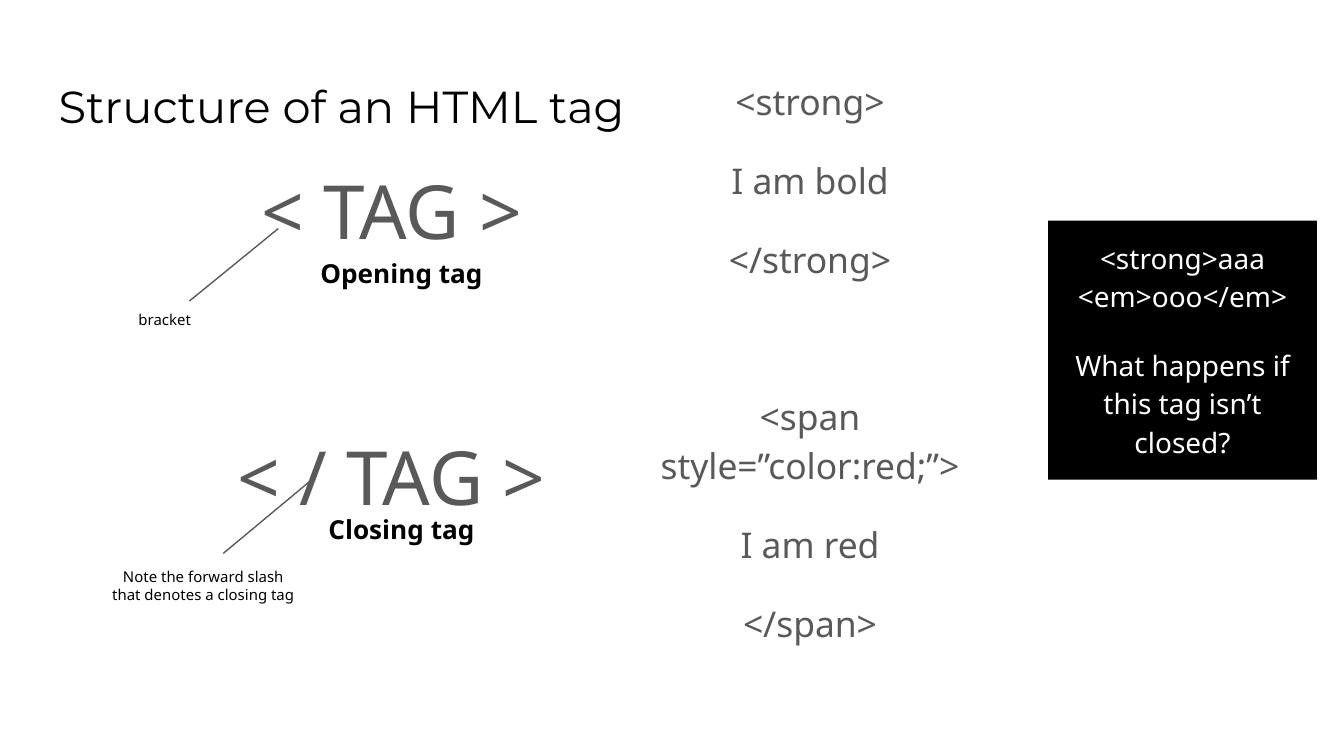
from dataclasses import dataclass

import pptx
import pptx.dml.color
import pptx.enum.shapes
import pptx.enum.text
import pptx.oxml
import pptx.oxml.ns
import pptx.util
from pptx.util import Cm

BLACK = pptx.dml.color.RGBColor(0x00, 0x00, 0x00)
WHITE = pptx.dml.color.RGBColor(0xFF, 0xFF, 0xFF)
GREY = pptx.dml.color.RGBColor(0x59, 0x59, 0x59)
BODY_FONT = "Noto Sans"
PARAGRAPH_GAP = 16
LABEL_LEADING = 1.2
BODY_LEADING = 1.38


@dataclass
class TextBlock:
    """Centred text; each group of paragraphs is set one line apart from the next."""
    left: float
    top: float
    width: float
    height: float
    groups: list[list[str]]
    size: int
    color: pptx.dml.color.RGBColor
    leading: float = LABEL_LEADING
    gap: int = 0
    bold: bool = False
    fill: pptx.dml.color.RGBColor | None = None


@dataclass
class Pointer:
    start: tuple[float, float]
    end: tuple[float, float]


BLOCKS = [
    TextBlock(-0.08, 2.49, 14.96, 8.84, [["< TAG >"], ["< / TAG >"]],
              40, GREY, BODY_LEADING, PARAGRAPH_GAP),
    TextBlock(19.81, 4.17, 5.08, 4.9,
              [["<strong>aaa <em>ooo</em>", "What happens if this tag isn’t closed?"]],
              15, WHITE, BODY_LEADING, PARAGRAPH_GAP, fill=BLACK),
    TextBlock(11.79, 1.09, 7.04, 11.43,
              [["<strong>", "I am bold", "</strong>"],
               ["<span style=”color:red;”>", "I am red", "</span>"]],
              19, GREY, BODY_LEADING, PARAGRAPH_GAP),
    TextBlock(1.96, 5.59, 2.31, 1.27, [["bracket"]], 8, BLACK),
    TextBlock(5.05, 4.57, 5.08, 1.27, [["Opening tag"]], 14, BLACK, bold=True),
    TextBlock(5.05, 9.42, 5.08, 1.27, [["Closing tag"]], 14, BLACK, bold=True),
    TextBlock(1.8, 10.46, 4.09, 2.87,
              [["Note the forward slash that denotes a closing tag"]], 8, BLACK),
]
POINTERS = [
    Pointer((5.26, 4.32), (3.58, 5.69)),
    Pointer((5.89, 9.07), (4.22, 10.46)),
]


def set_all(target, values: dict) -> None:
    for name, value in values.items():
        setattr(target, name, value)


def format_frame(frame, top_inset: float, anchor) -> None:
    set_all(frame, {
        "word_wrap": True,
        "auto_size": pptx.enum.text.MSO_AUTO_SIZE.NONE,
        "vertical_anchor": anchor,
        "margin_left": Cm(0.25),
        "margin_right": Cm(0.25),
        "margin_top": Cm(top_inset),
        "margin_bottom": Cm(0.25),
    })


def format_font(font, name: str, size: int, color, bold: bool = False) -> None:
    set_all(font, {"name": name, "size": pptx.util.Pt(size), "bold": bold})
    font.color.rgb = color


def add_title(slide) -> None:
    title = slide.shapes.title
    set_all(title, {"left": Cm(0.86), "top": Cm(1.73),
                    "width": Cm(11.76), "height": Cm(1.02)})
    format_frame(title.text_frame, 0.25, pptx.enum.text.MSO_ANCHOR.BOTTOM)
    heading = title.text_frame.paragraphs[0]
    heading.alignment = pptx.enum.text.PP_ALIGN.LEFT
    run = heading.add_run()
    run.text = "Structure of an HTML tag"
    format_font(run.font, "Montserrat", 24, BLACK)


def add_block(slide, block: TextBlock) -> None:
    box = [Cm(length) for length in (block.left, block.top, block.width, block.height)]
    if block.fill is None:
        shape = slide.shapes.add_textbox(*box)
    else:
        shape = slide.shapes.add_shape(pptx.enum.shapes.MSO_SHAPE.RECTANGLE, *box)
        shape.shadow.inherit = False
        shape.fill.solid()
        shape.fill.fore_color.rgb = block.fill
        shape.line.fill.background()

    frame = shape.text_frame
    # Larger text sits a little lower under the top edge.
    format_frame(frame, 0.25 + 0.003 * block.size, pptx.enum.text.MSO_ANCHOR.TOP)
    line_height = block.size * block.leading
    paragraph = None
    for group_number, group in enumerate(block.groups):
        for line_number, text in enumerate(group):
            paragraph = frame.add_paragraph() if paragraph is not None else frame.paragraphs[0]
            opens_later_group = group_number > 0 and line_number == 0
            set_all(paragraph, {
                "alignment": pptx.enum.text.PP_ALIGN.CENTER,
                "line_spacing": pptx.util.Pt(line_height),
                "space_before": pptx.util.Pt(line_height + block.gap if opens_later_group else 0),
                "space_after": pptx.util.Pt(block.gap),
            })
            run = paragraph.add_run()
            run.text = text
            format_font(run.font, BODY_FONT, block.size, block.color, block.bold)


def add_pointer(slide, pointer: Pointer) -> None:
    ends = [Cm(length) for length in pointer.start + pointer.end]
    line = slide.shapes.add_connector(pptx.enum.shapes.MSO_CONNECTOR.STRAIGHT, *ends)
    line.line.color.rgb = GREY
    line.line.width = pptx.util.Pt(0.75)
    properties = line._element.spPr
    properties.append(pptx.oxml.parse_xml(
        f"<a:effectLst {pptx.oxml.ns.nsdecls('a')}/>"))


def main() -> None:
    deck = pptx.Presentation()
    set_all(deck, {"slide_width": Cm(25.4), "slide_height": Cm(14.29)})
    slide = deck.slides.add_slide(deck.slide_layouts.get_by_name("Title Only"))
    slide.background.fill.solid()
    slide.background.fill.fore_color.rgb = WHITE
    add_title(slide)
    for block in BLOCKS:
        add_block(slide, block)
    for pointer in POINTERS:
        add_pointer(slide, pointer)
    deck.save("out.pptx")


if __name__ == "__main__":
    main()
